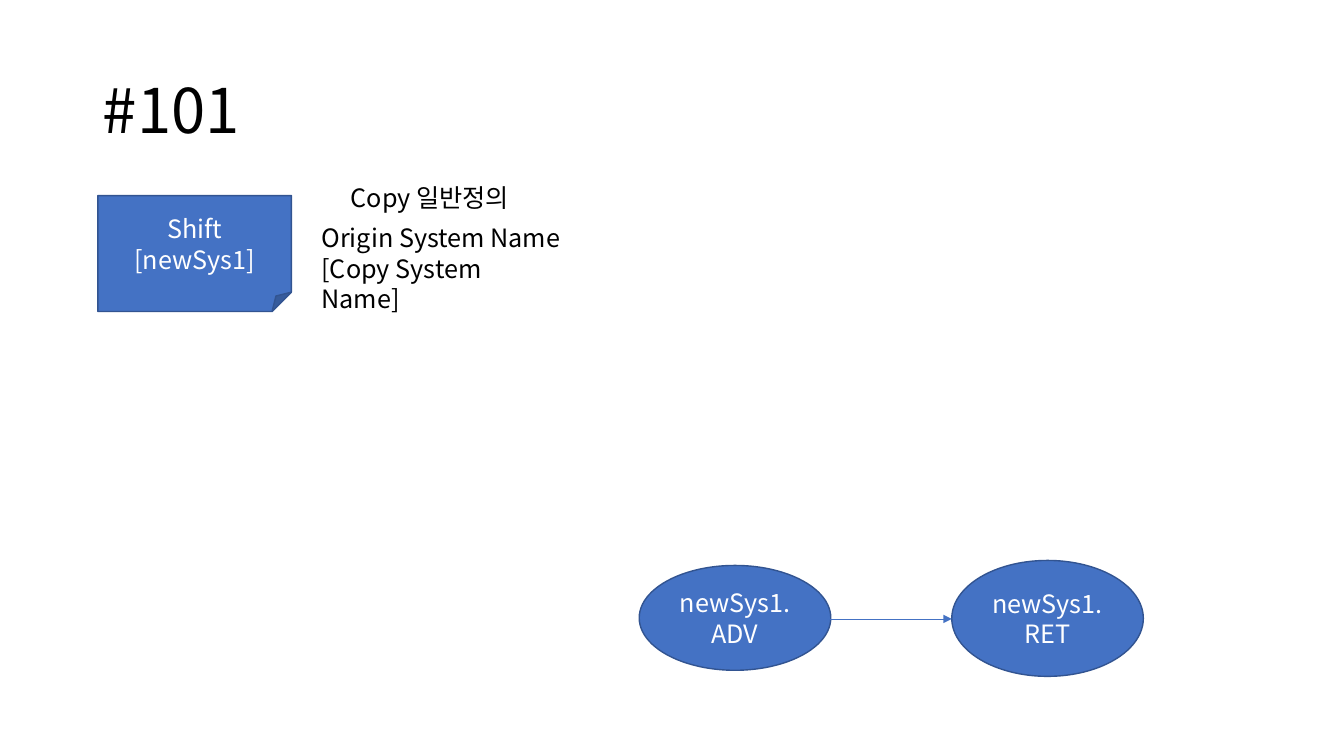
from lxml.etree import SubElement
from pptx import Presentation
from pptx.dml.color import RGBColor
from pptx.enum.shapes import MSO_CONNECTOR as Connector, MSO_SHAPE as Shape
from pptx.enum.text import MSO_ANCHOR as Anchor, PP_ALIGN as Align
from pptx.oxml.ns import qn
from pptx.util import Inches, Pt


def color(value):
    return RGBColor.from_string(value)


class Page:
    font = "Noto Sans CJK KR"
    blue, edge, black, white = "4472C4", "325491", "000000", "FFFFFF"

    def __init__(self, deck):
        self.slide = deck.slides.add_slide(deck.slide_layouts[5])

    def fill_text(self, frame, lines, size, ink, align, anchor):
        frame.word_wrap = True
        frame.vertical_anchor = anchor
        frame.text = "\n".join(lines)
        for para in frame.paragraphs:
            para.alignment = align
            para.font.size = Pt(size)
            para.font.name = self.font
            para.font.color.rgb = color(ink)
            defaults = para._p.pPr.find(qn("a:defRPr"))
            SubElement(defaults, qn("a:ea"), typeface=self.font)

    def title(self, text, left, top, width, height):
        box = self.slide.shapes.title
        box.left, box.top = Inches(left), Inches(top)
        box.width, box.height = Inches(width), Inches(height)
        self.fill_text(box.text_frame, [text], 44, self.black, Align.LEFT, Anchor.MIDDLE)
        box.text_frame.paragraphs[0].line_spacing = 0.9

    def node(self, kind, lines, left, top, width, height):
        shape = self.slide.shapes.add_shape(
            kind, Inches(left), Inches(top), Inches(width), Inches(height))
        shape.shadow.inherit = False
        shape.fill.solid()
        shape.fill.fore_color.rgb = color(self.blue)
        shape.line.color.rgb = color(self.edge)
        shape.line.width = Pt(1)
        self.fill_text(shape.text_frame, lines, 18, self.white, Align.CENTER, Anchor.MIDDLE)

    def label(self, lines, left, top, width, height):
        box = self.slide.shapes.add_textbox(
            Inches(left), Inches(top), Inches(width), Inches(height))
        self.fill_text(box.text_frame, lines, 18, self.black, Align.LEFT, Anchor.TOP)

    def arrow(self, start, end, level):
        line = self.slide.shapes.add_connector(
            Connector.STRAIGHT, Inches(start), Inches(level), Inches(end), Inches(level))
        line.line.color.rgb = color(self.blue)
        line.line.width = Pt(0.5)
        outline = line._element.spPr.find(qn("a:ln"))
        SubElement(outline, qn("a:tailEnd"), type="triangle")
        SubElement(line._element.spPr, qn("a:effectLst"))


def main():
    deck = Presentation()
    deck.slide_width, deck.slide_height = Inches(13.33), Inches(7.5)
    page = Page(deck)
    page.title("#101", 0.92, 0.4, 11.5, 1.45)
    page.node(Shape.OVAL, ["newSys1. ADV"], 6.34, 5.61, 1.9, 1.04)
    page.node(Shape.OVAL, ["newSys1.RET"], 9.44, 5.56, 1.9, 1.15)
    page.arrow(8.23, 9.44, 6.14)
    page.node(Shape.FOLDED_CORNER, ["Shift", "[newSys1]"], 0.97, 1.94, 1.92, 1.15)
    page.label(["Origin System Name", "[Copy System Name]"], 3.09, 2.16, 2.61, 0.71)
    page.label(["Copy 일반정의"], 3.38, 1.76, 1.89, 0.4)
    deck.save("out.pptx")


if __name__ == "__main__":
    main()
